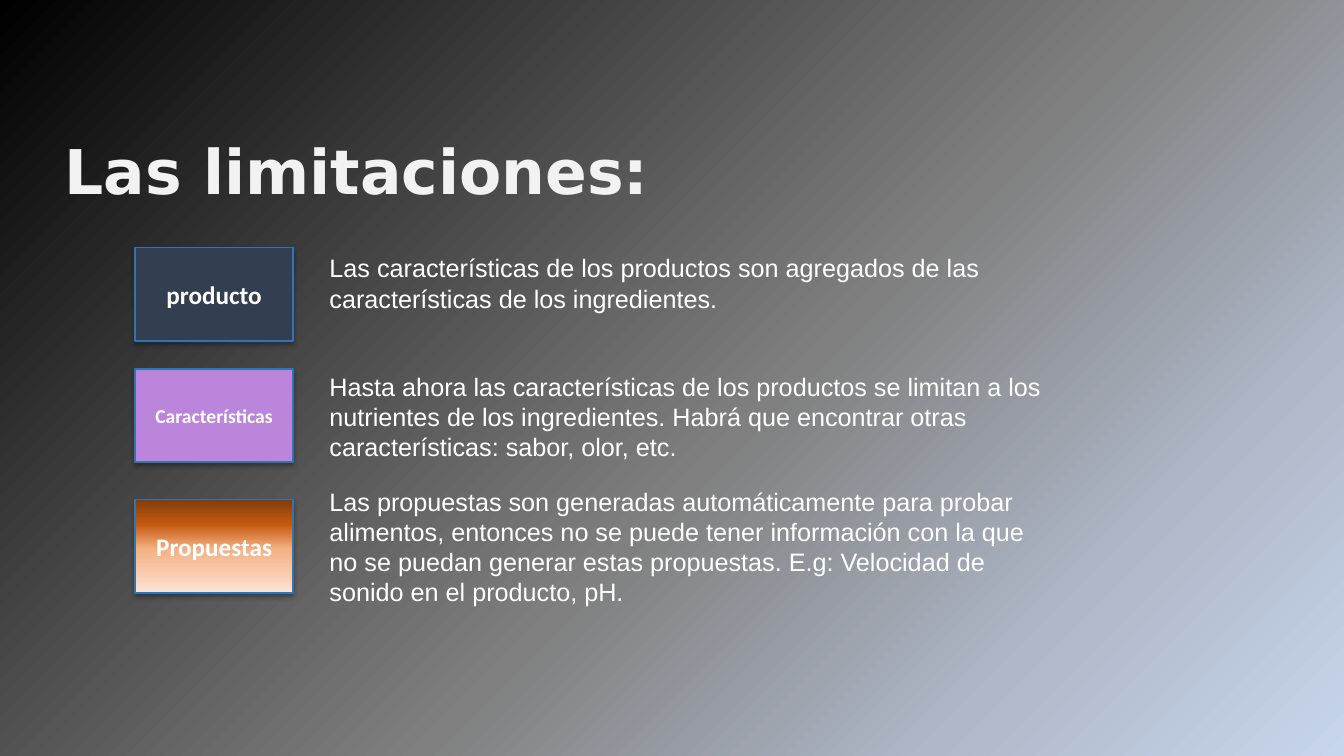
from dataclasses import dataclass
from typing import Union

from lxml.etree import SubElement
from pptx import Presentation
from pptx.dml.color import RGBColor as Rgb
from pptx.dml.fill import FillFormat
from pptx.enum.shapes import MSO_SHAPE as Shape
from pptx.enum.text import MSO_ANCHOR as Anchor, MSO_AUTO_SIZE as AutoSize, PP_ALIGN as Align
from pptx.oxml.ns import qn
from pptx.slide import Slide
from pptx.text.text import Font
from pptx.util import Pt

Stops = tuple[tuple[int, str], ...]


@dataclass(frozen=True)
class Theme:
    title_font: str = "DejaVu Sans"
    label_font: str = "Calibri"
    body_font: str = "Arial"
    title_size: float = 44
    body_size: float = 18
    small_size: float = 14
    title_color: str = "F2F2F2"
    text_color: str = "FFFFFF"
    border: str = "2E75B6"
    shadow: str = "000000"
    navy: str = "333F50"
    violet: str = "BA85DB"
    orange: Stops = ((0, "843C0B"), (27, "C55A11"), (53, "F4B183"),
                     (79, "F8CBAD"), (99, "FBE5D6"), (100, "7030A0"))
    backdrop: Stops = ((0, "000000"), (56, "808080"), (80, "AFB8C8"), (100, "C7D5ED"))


THEME = Theme()


@dataclass(frozen=True)
class Limitation:
    label: str
    label_size: float
    fill: Union[str, Stops]
    label_top: float
    text: str
    text_top: float
    text_height: float


LIMITATIONS = (
    Limitation("producto", THEME.body_size, THEME.navy, 177,
               "Las características de los productos son agregados de las "
               "características de los ingredientes.", 177, 51),
    Limitation("Características", THEME.small_size, THEME.violet, 263.5,
               "Hasta ahora las características de los productos se limitan a los "
               "nutrientes de los ingredientes. Habrá que encontrar otras "
               "características: sabor, olor, etc.", 261.5, 72.5),
    Limitation("Propuestas", THEME.body_size, THEME.orange, 357,
               "Las propuestas son generadas automáticamente para probar alimentos, "
               "entonces no se puede tener información con la que no se puedan generar "
               "estas propuestas. E.g: Velocidad de sonido en el producto, pH.", 343.5, 94.5),
)
LABEL_LEFT, LABEL_WIDTH, LABEL_HEIGHT = 96.5, 113, 66.5
TEXT_LEFT, TEXT_WIDTH = 228.25, 528


def set_gradient(fill: FillFormat, owner, stops: Stops, clockwise: float) -> None:
    """Fill with the given stops; owner is the XML element holding the fill."""
    fill.gradient()
    fill.gradient_angle = 360 - clockwise
    stop_list = next(owner.iter(qn("a:gsLst")))
    stop_list.clear()
    for percent, color in stops:
        stop = SubElement(stop_list, qn("a:gs"), pos=str(percent * 1000))
        SubElement(stop, qn("a:srgbClr"), val=color)


def set_font(font: Font, name: str, size: float, color: str, bold: bool = False) -> None:
    font.name, font.size, font.bold = name, Pt(size), bold
    font.color.rgb = Rgb.from_string(color)


def add_shadow(shape) -> None:
    shape.shadow.inherit = False
    effects = shape._element.spPr.find(qn("a:effectLst"))
    outer = SubElement(effects, qn("a:outerShdw"), blurRad=str(Pt(3.5)), dist=str(Pt(2.2)),
                       dir="5400000", algn="ctr", rotWithShape="0")
    color = SubElement(outer, qn("a:srgbClr"), val=THEME.shadow)
    SubElement(color, qn("a:alpha"), val="32000")


def add_text(slide: Slide, text: str, left: float, top: float, width: float,
             height: float, name: str, size: float, color: str, bold: bool = False) -> None:
    frame = slide.shapes.add_textbox(Pt(left), Pt(top), Pt(width), Pt(height)).text_frame
    frame.word_wrap = True
    frame.auto_size = AutoSize.SHAPE_TO_FIT_TEXT
    frame.text = text
    set_font(frame.paragraphs[0].font, name, size, color, bold)


def add_label(slide: Slide, item: Limitation) -> None:
    label = slide.shapes.add_shape(Shape.RECTANGLE, Pt(LABEL_LEFT), Pt(item.label_top),
                                   Pt(LABEL_WIDTH), Pt(LABEL_HEIGHT))
    if isinstance(item.fill, str):
        label.fill.solid()
        label.fill.fore_color.rgb = Rgb.from_string(item.fill)
    else:
        set_gradient(label.fill, label._element.spPr, item.fill, 90)
    label.line.color.rgb = Rgb.from_string(THEME.border)
    label.line.width = Pt(1)
    add_shadow(label)
    frame = label.text_frame
    frame.vertical_anchor = Anchor.MIDDLE
    frame.text = item.label
    caption = frame.paragraphs[0]
    caption.alignment = Align.CENTER
    set_font(caption.font, THEME.label_font, item.label_size, THEME.text_color, bold=True)


def main() -> None:
    deck = Presentation()
    deck.slide_width, deck.slide_height = Pt(960), Pt(540)
    slide = deck.slides.add_slide(deck.slide_layouts[6])

    # Backdrop
    set_gradient(slide.background.fill, slide._element, THEME.backdrop, 45)

    # Title
    add_text(slide, "Las limitaciones:", 39, 91.5, 517.5, 60.5,
             THEME.title_font, THEME.title_size, THEME.title_color, bold=True)

    # Limitations: a coloured label and its explanation
    for item in LIMITATIONS:
        add_label(slide, item)
        add_text(slide, item.text, TEXT_LEFT, item.text_top, TEXT_WIDTH, item.text_height,
                 THEME.body_font, THEME.body_size, THEME.text_color)

    deck.save("out.pptx")


if __name__ == "__main__":
    main()
